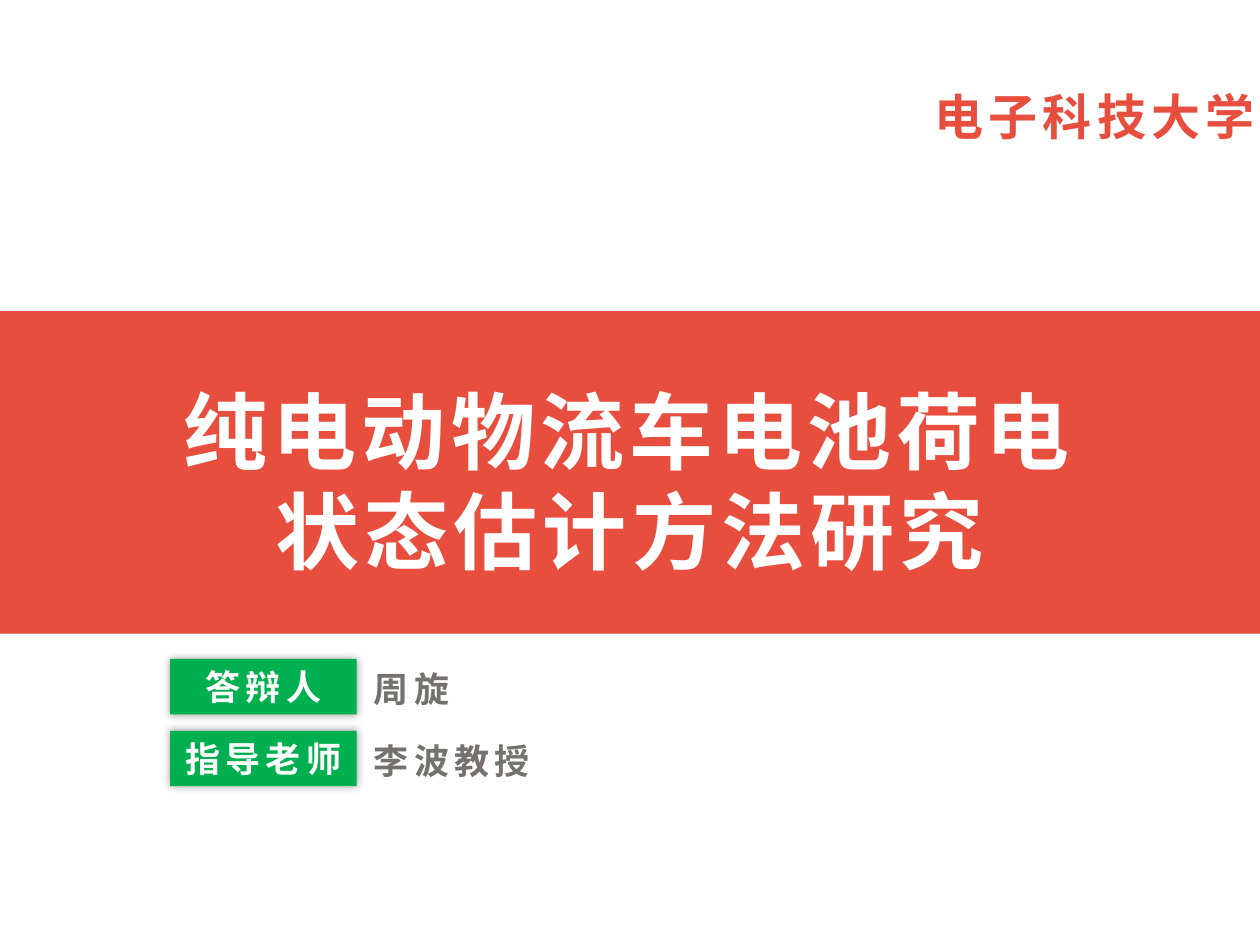
import pptx
import pptx.dml.color
import pptx.enum.shapes
import pptx.enum.text
import pptx.oxml
import pptx.oxml.ns
import pptx.util
from pptx.util import Inches

RED = pptx.dml.color.RGBColor(0xE7, 0x4E, 0x3E)
GREEN = pptx.dml.color.RGBColor(0x00, 0xB0, 0x50)
GRAY = pptx.dml.color.RGBColor(0x76, 0x71, 0x71)
WHITE = pptx.dml.color.RGBColor(0xFF, 0xFF, 0xFF)

FONT = "Noto Sans CJK SC"
LETTER_SPACING = 300  # hundredths of a point
ALIGN = pptx.enum.text.PP_ALIGN

PEOPLE = [("答辩人", "周旋"), ("指导老师", "李波教授")]
FIRST_ROW_TOP = 5.23
ROW_STEP = 0.57

GLOW_SHADOW = (
    f'<a:effectLst {pptx.oxml.ns.nsdecls("a")}>'
    '<a:outerShdw blurRad="63500" dist="0" dir="0" algn="ctr" rotWithShape="0">'
    '<a:srgbClr val="000000"><a:alpha val="40000"/></a:srgbClr>'
    '</a:outerShdw></a:effectLst>'
)


def write_text(frame, words, size, color, align):
    """Fill the frame with one bold, letter-spaced paragraph."""
    paragraph = frame.paragraphs[0]
    paragraph.alignment = align
    run = paragraph.add_run()
    run.text = words
    formats = {"name": FONT, "size": pptx.util.Pt(size), "bold": True}
    for attribute, value in formats.items():
        setattr(run.font, attribute, value)
    run.font.color.rgb = color
    properties = run.font._element
    properties.set("spc", str(LETTER_SPACING))
    east_asian = pptx.oxml.parse_xml(
        f'<a:ea {pptx.oxml.ns.nsdecls("a")} typeface="{FONT}"/>')
    properties.find(pptx.oxml.ns.qn("a:latin")).addnext(east_asian)


def add_text(slide, box, words, size, color, align=ALIGN.LEFT):
    frame = slide.shapes.add_textbox(*map(Inches, box)).text_frame
    frame.word_wrap = True
    frame.auto_size = pptx.enum.text.MSO_AUTO_SIZE.SHAPE_TO_FIT_TEXT
    write_text(frame, words, size, color, align)


def add_block(slide, box, color):
    block = slide.shapes.add_shape(
        pptx.enum.shapes.MSO_SHAPE.RECTANGLE, *map(Inches, box))
    block.shadow.inherit = False
    block.fill.solid()
    block.fill.fore_color.rgb = color
    block.line.fill.background()
    return block


def add_role_label(slide, box, role):
    """Add a green block with a soft shadow that names a person's role."""
    label = add_block(slide, box, GREEN)
    properties = label._element.spPr
    properties.replace(properties.find(pptx.oxml.ns.qn("a:effectLst")),
                       pptx.oxml.parse_xml(GLOW_SHADOW))
    frame = label.text_frame
    frame.word_wrap = False
    frame.vertical_anchor = pptx.enum.text.MSO_ANCHOR.MIDDLE
    write_text(frame, role, 20, WHITE, ALIGN.CENTER)


def main():
    deck = pptx.Presentation()
    deck.slide_width, deck.slide_height = Inches(10), Inches(7.5)
    slide = deck.slides.add_slide(deck.slide_layouts[6])

    add_text(slide, (7.32, 0.64, 3.04, 0.57), "电子科技大学", 28, RED)
    add_block(slide, (0, 2.47, 10, 2.56), RED)
    add_text(slide, (1.16, 2.96, 7.68, 1.72),
             "纯电动物流车电池荷电状态估计方法研究", 48, WHITE, ALIGN.CENTER)

    for row, (role, person) in enumerate(PEOPLE):
        top = FIRST_ROW_TOP + row * ROW_STEP
        add_role_label(slide, (1.35, top, 1.48, 0.44), role)
        add_text(slide, (2.87, top + 0.02, 1.77, 0.44), person, 20, GRAY)

    deck.save("out.pptx")


if __name__ == "__main__":
    main()
